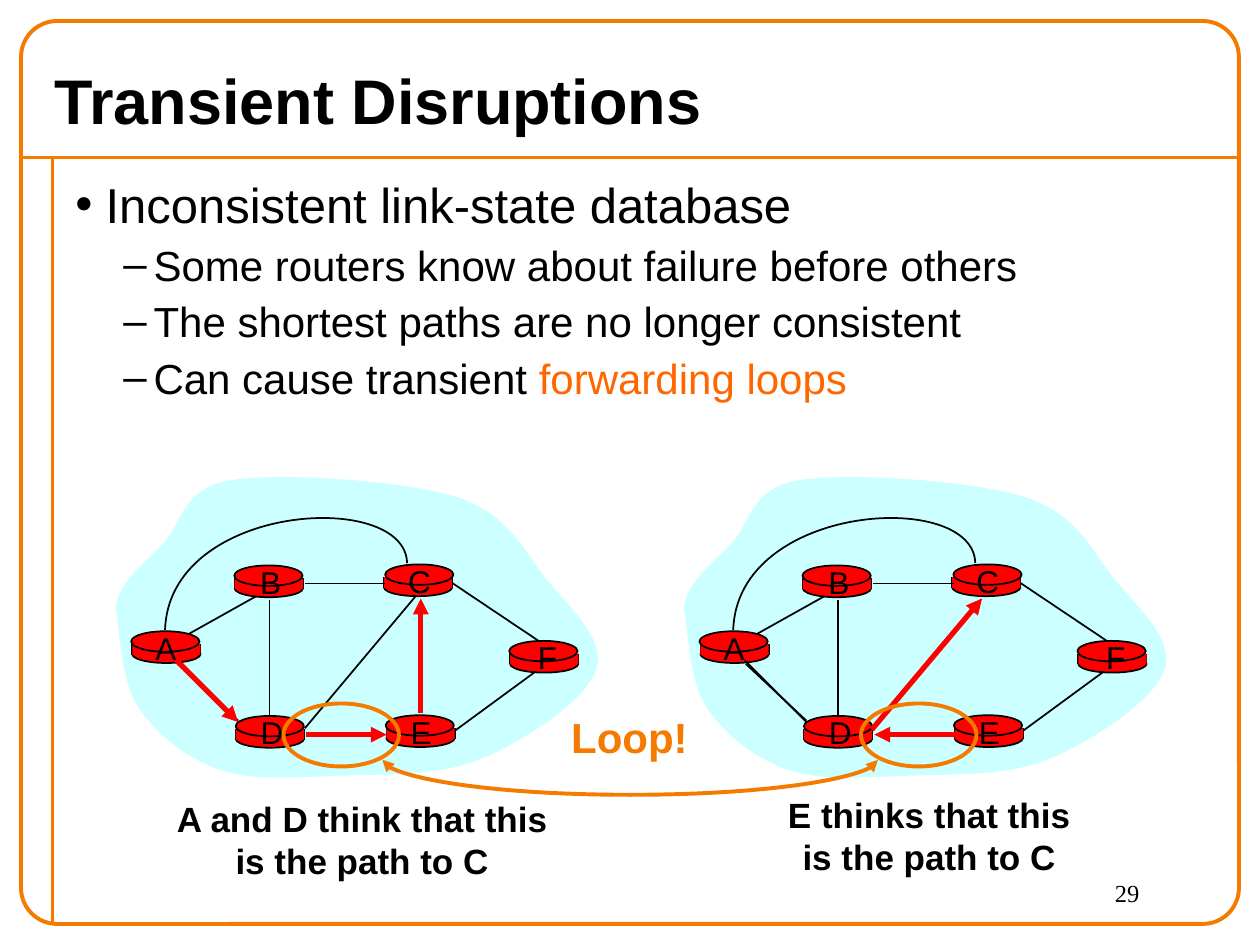
from lxml import etree
from pptx import Presentation
from pptx.dml.color import RGBColor
from pptx.enum import shapes as kinds, text as enums
from pptx.oxml import ns
from pptx.util import Pt

ORANGE = RGBColor(0xF4, 0x7A, 0x00)
ACCENT = RGBColor(0xFF, 0x66, 0x00)
BLACK = RGBColor(0, 0, 0)
RED = RGBColor(0xFF, 0, 0)
CYAN = RGBColor(0xCC, 0xFF, 0xFF)

BULLETS = [
    (0, [("Inconsistent link-state database", BLACK)]),
    (1, [("Some routers know about failure before others", BLACK)]),
    (1, [("The shortest paths are no longer consistent", BLACK)]),
    (1, [("Can cause transient ", BLACK), ("forwarding loops", ACCENT)]),
]
LEVELS = [
    dict(size=28, mark="\u2022", margin=17.28, before=4),
    dict(size=24, mark="\u2013", margin=44.64, before=3.5),
]
CAPTIONS = [
    ("A and D think that this\vis the path to C", (48, 452.2, 318, 55.4)),
    ("E thinks that this\vis the path to C", (390, 450, 282, 55.4)),
]
ROUTERS = {
    "A": dict(body=(75.6, 368), lid_shift=-0.6, label_shift=5.8),
    "D": dict(body=(134.7, 416.4), lid_shift=0, label_shift=7.2),
    "B": dict(body=(134.1, 330.4), lid_shift=-0.2, label_shift=7.1),
    "C": dict(body=(219.4, 329.8), lid_shift=0.7, label_shift=6.7),
    "E": dict(body=(220.8, 416), lid_shift=-0.4, label_shift=6.5),
    "F": dict(body=(291.5, 373.5), lid_shift=-0.5, label_shift=8),
}
CLOUD = [
    (66.2, 347.8), (67, 333.4), (82.1, 322.6), (93.6, 310.3),
    (104.4, 298.1), (104.4, 278.6), (132.5, 274.3),
    (159.8, 270), (229.7, 274.3), (259.9, 283.7),
    (290.2, 293), (298.8, 313.9), (311.8, 330.5),
    (325.4, 347), (347, 365.8), (340.6, 383),
    (334.8, 400.3), (298.8, 424.1), (273.6, 434.2),
    (248.4, 444.2), (215.3, 442.1), (190.1, 443.5),
    (165.6, 444.2), (142.6, 446.4), (123.8, 439.2),
    (105.8, 432.7), (88.6, 419), (78.5, 403.2),
    (69.1, 388.1), (68.4, 359.3), (66.2, 347.8),
]
ARC_A_C = [(232.6, 321.8), (231.8, 279.4), (96.5, 287.3), (94.3, 360)]
LINK_A_B = (108, 362.2, 150.5, 338.4)
LINKS = [
    (154, 342.7, 154, 409.7),
    (259.9, 417.6, 306, 383.8),
    (136.1, 411.8, 101.5, 379.4),
    (220.3, 333.4, 174.2, 333.4),
    (308.2, 366.5, 258.5, 333.2),
]
NETWORKS = [
    dict(shift=0, links=[(174.2, 416.2, 237.6, 340.6)],
         hops=[(240.5, 407.5, 240.5, 342), (175, 419.8, 221, 419.8),
               (100.8, 377.3, 136.1, 412.6)]),
    dict(shift=324.7, links=[(100.8, 377.3, 136.1, 412.6)],
         hops=[(173.5, 416.9, 236.5, 342), (221, 419.8, 175, 419.8)]),
]
LOOP_RINGS = [(162, 402, 66, 36), (492, 402, 66, 36)]


def sub(parent, tag, **attributes):
    return etree.SubElement(parent, ns.qn(tag), attributes)


def outline(shape, color, width):
    if color is None:
        shape.line.fill.background()
    else:
        shape.line.color.rgb = color
        shape.line.width = Pt(width)


def paint(shape, fill, color, width):
    shape.shadow.inherit = False
    if fill is None:
        shape.fill.background()
    else:
        shape.fill.solid()
        shape.fill.fore_color.rgb = fill
    outline(shape, color, width)


def preset(parent, kind, box, fill=None, color=None, width=1):
    shape = parent.add_shape(kind, *map(Pt, box))
    paint(shape, fill, color, width)
    return shape


def link(parent, ends, color=BLACK, width=1, arrows=(),
         kind=kinds.MSO_CONNECTOR.STRAIGHT):
    line = parent.add_connector(kind, *map(Pt, ends))
    outline(line, color, width)
    for end in arrows:
        sub(line.line._get_or_add_ln(), end, type="triangle")
    sub(line._element.spPr, "a:effectLst")
    return line


def curve(parent, points, shift, fill=None, color=None, closed=False):
    (start, *rest) = [(Pt(x + shift), Pt(y)) for x, y in points]
    builder = parent.build_freeform(*start, scale=1)
    builder.add_line_segments(rest, close=closed)
    shape = builder.convert_to_shape()
    paint(shape, fill, color, 1)
    corners = list(shape._element.iter(ns.qn("a:lnTo")))
    for i in range(0, len(corners), 3):
        bezier = etree.Element(ns.qn("a:cubicBezTo"))
        corners[i].addprevious(bezier)
        for corner in corners[i:i + 3]:
            bezier.append(corner[0])
            corner.getparent().remove(corner)


def style(run, size, color=BLACK, bold=False, name="Arial"):
    for key, value in dict(size=Pt(size), bold=bold, name=name).items():
        setattr(run.font, key, value)
    run.font.color.rgb = color


def write(parent, words, box, size, align=enums.PP_ALIGN.LEFT,
          anchor=enums.MSO_ANCHOR.TOP, wrap=True, **look):
    frame = parent.add_textbox(*map(Pt, box)).text_frame
    frame.word_wrap = wrap
    frame.vertical_anchor = anchor
    line = frame.paragraphs[0]
    line.text = words
    line.alignment = align
    for run in line.runs:
        style(run, size, **look)


def draw_router(parent, name, shift, body, lid_shift, label_shift):
    x, y = body[0] + shift, body[1]
    oval = kinds.MSO_SHAPE.OVAL
    preset(parent, oval, (x, y + 0.8, 39, 10.1), RED, BLACK)
    for side in (x, x + 39):
        link(parent, (side, y, side, y + 6.2))
    preset(parent, kinds.MSO_SHAPE.RECTANGLE, (x, y, 39, 6.2), RED)
    preset(parent, oval, (x + lid_shift, y - 7.3, 39, 11.7), RED, BLACK)


def draw_network(parent, shift, links, hops):
    def moved(ends):
        return ends[0] + shift, ends[1], ends[2] + shift, ends[3]

    curve(parent, CLOUD, shift, fill=CYAN, closed=True)
    link(parent, moved(LINK_A_B))
    for name, router in ROUTERS.items():
        draw_router(parent, name, shift, **router)
    for ends in LINKS + links:
        link(parent, moved(ends))
    curve(parent, ARC_A_C, shift, color=BLACK)
    for name, router in ROUTERS.items():
        x, y = router["body"]
        write(parent, name, (x + shift + router["label_shift"], y - 12.3, 26.8, 28.8),
              18, enums.PP_ALIGN.CENTER, wrap=False)
    for ends in hops:
        link(parent, moved(ends), RED, 3, ["a:tailEnd"])


deck = Presentation()
deck.slide_width, deck.slide_height = Pt(720), Pt(540)
slide = deck.slides.add_slide(deck.slide_layouts[6])
canvas = slide.shapes

for rule in [(12, 90, 708, 90), (30, 90, 30, 528)]:
    link(canvas, rule, ORANGE, 2.25)
border = preset(canvas, kinds.MSO_SHAPE.ROUNDED_RECTANGLE, (12, 12, 696, 516),
                color=ORANGE, width=2.25)
border.adjustments[0] = 0.04

write(canvas, "29", (630, 498, 72, 30), 14, name="Times New Roman")
write(canvas, "Transient Disruptions", (24, 30, 684, 54), 36,
      anchor=enums.MSO_ANCHOR.MIDDLE, bold=True)

points = canvas.add_textbox(*map(Pt, (36, 96, 666, 432))).text_frame
points.word_wrap = True
for index, (depth, pieces) in enumerate(BULLETS):
    point = points.add_paragraph() if index else points.paragraphs[0]
    level = LEVELS[depth]
    point.level = depth
    point.space_before = Pt(level["before"])
    for words, color in pieces:
        run = point.add_run()
        run.text = words
        style(run, level["size"], color)
    properties = point._p.get_or_add_pPr()
    properties.set("marL", str(Pt(level["margin"])))
    properties.set("indent", str(-Pt(17.28)))
    sub(properties, "a:buFont", typeface="Arial")
    sub(properties, "a:buChar", char=level["mark"])

for network in NETWORKS:
    draw_network(canvas.add_group_shape().shapes, **network)
for words, box in CAPTIONS:
    write(canvas, words, box, 20, enums.PP_ALIGN.CENTER,
          enums.MSO_ANCHOR.MIDDLE, bold=True)

for ring in LOOP_RINGS:
    preset(canvas, kinds.MSO_SHAPE.OVAL, ring, color=ORANGE, width=2.25)
swing = link(canvas, (360, 292.6, 360.12, 575.8), ORANGE, 2.25,
             ["a:headEnd", "a:tailEnd"], kinds.MSO_CONNECTOR.CURVE)
swing._element.spPr.xfrm.set("rot", "16200000")
swing._element.spPr.xfrm.set("flipH", "1")
bend = swing._element.spPr.find(ns.qn("a:prstGeom")).find(ns.qn("a:avLst"))
sub(bend, "a:gd", name="adj1", fmla="val 17700000")
write(canvas, "Loop!", (319, 403.2, 81.4, 36), 24, enums.PP_ALIGN.CENTER,
      enums.MSO_ANCHOR.MIDDLE, wrap=False, color=ORANGE, bold=True)

deck.save("out.pptx")
